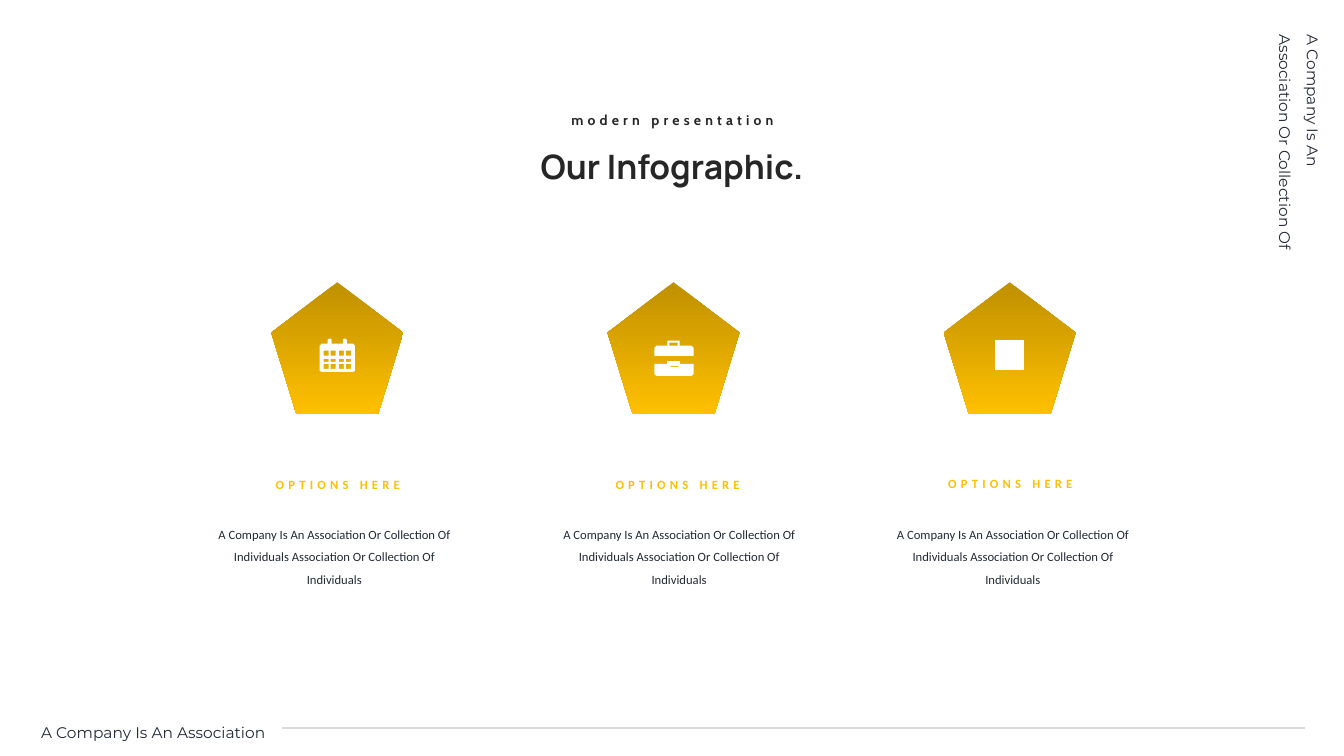
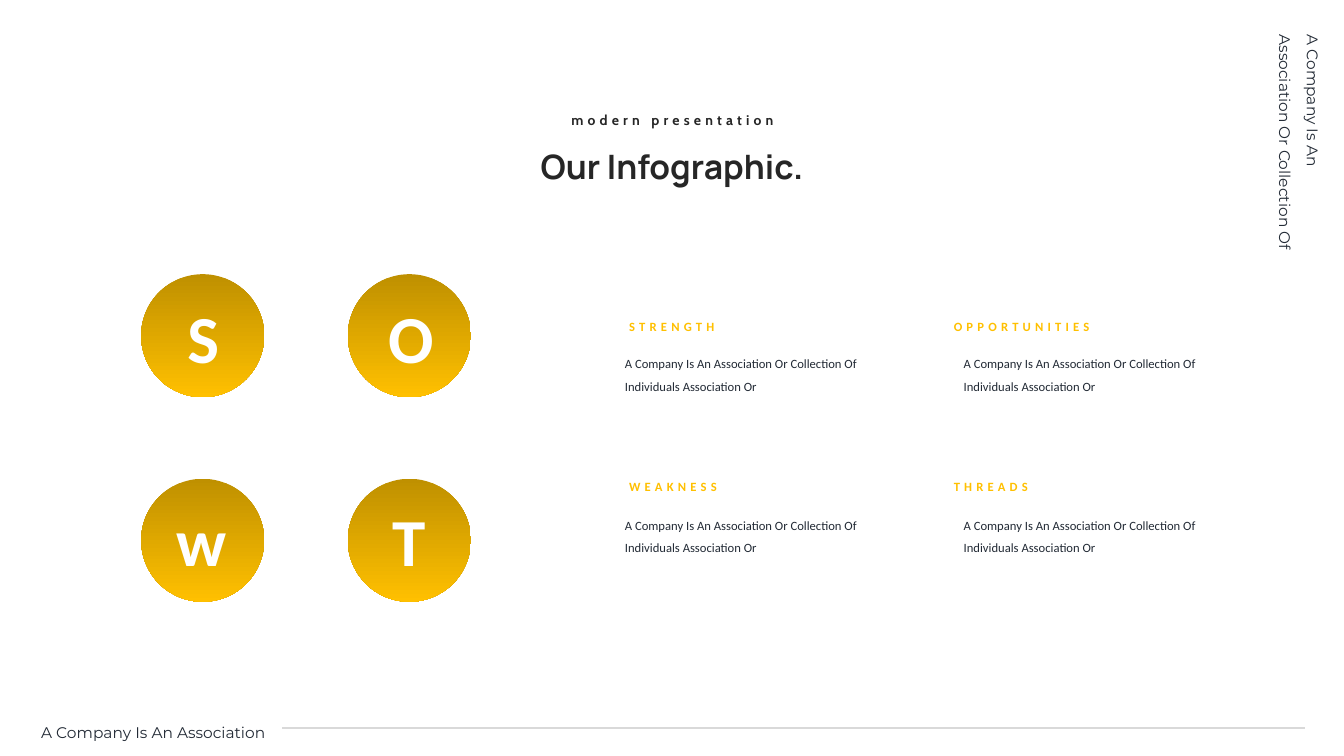
from lxml.etree import SubElement
from pptx import Presentation
from pptx.dml.color import RGBColor
from pptx.enum.shapes import MSO_CONNECTOR as Connector, MSO_SHAPE as Shape
from pptx.enum.text import MSO_ANCHOR as Anchor, MSO_AUTO_SIZE as AutoSize, PP_ALIGN as Align
from pptx.oxml.ns import qn
from pptx.util import Inches, Pt

COLORS = {"dark_gold": "BF9000", "gold": "FFC000", "white": "FFFFFF",
          "ink": "222A35", "title": "262626", "rule": "D9D9D9"}

STYLES = {
    "body": {"font": {"name": "Calibri", "size": Pt(9)}, "color": "ink",
             "paragraph": {"line_spacing": 1.5}},
    "heading": {"font": {"name": "Calibri", "size": Pt(9), "bold": True}, "color": "gold",
                "paragraph": {"space_after": Pt(12)}, "tight": True, "spacing": 3},
    "letter": {"font": {"name": "Calibri", "size": Pt(48), "bold": True}, "color": "white",
               "paragraph": {"space_after": Pt(12)}, "tight": True},
    "margin": {"font": {"name": "Montserrat", "size": Pt(11)}, "color": "ink",
               "paragraph": {"line_spacing": 1.5}},
    "title": {"font": {"name": "Manrope", "size": Pt(24), "bold": True}, "color": "title"},
    "kicker": {"font": {"name": "Cabin", "size": Pt(10), "bold": True}, "color": "title",
               "spacing": 3},
}
TIGHT = {"margin_left": 0, "margin_top": 0, "margin_right": 0, "margin_bottom": 0,
         "vertical_anchor": Anchor.MIDDLE}

FRAME = [
    ("A Company Is An Association", (0.31, 7.03, 4.36, 0.35), "margin", Align.LEFT, 0),
    ("A Company Is An Association Or Collection Of", (11.74, 1.14, 2.41, 0.62),
     "margin", Align.LEFT, 90),
    ("Our Infographic.", (3.93, 1.4, 5.47, 0.5), "title", Align.CENTER, 0),
    ("modern presentation", (5.37, 1.06, 2.6, 0.27), "kicker", Align.CENTER, 0),
]
RULE = (12.94, 7.22, 2.8, 7.22)

OPTION_TEXT = ("A Company Is An Association Or Collection Of Individuals "
               "Association Or Collection Of Individuals")
OPTIONS = [
    {"title": "OPTIONS HERE", "title_at": (2.48, 4.73), "text_left": 2.02},
    {"title": "OPTIONS HERE", "title_at": (5.85, 4.73), "text_left": 5.44},
    {"title": "OPTIONS HERE", "title_at": (9.15, 4.72), "text_left": 8.75},
]
PENTAGON = {"left": 2.69, "top": 2.8, "size": 1.31, "pitch": 3.335}

SWOT_TEXT = "A Company Is An Association Or Collection Of Individuals Association Or"
SWOT = [
    ("S", (1.67, 2.93), "STRENGTH"),
    ("O", (3.73, 2.93), "OPPORTUNITIES"),
    ("w", (1.65, 4.95), "WEAKNESS"),
    ("T", (3.71, 4.95), "THREADS"),
]
CIRCLE = {"lefts": (1.4, 3.45), "tops": (2.72, 4.75), "size": 1.22}
SWOT_COLUMNS = [{"heading": 6.24, "text": 6.1}, {"heading": 9.46, "text": 9.46}]
SWOT_ROWS = [{"heading": 3.16, "text": 3.41}, {"heading": 4.75, "text": 5.01}]


def box(left, top, width, height):
    right, bottom = left + width, top + height
    return [(left, top), (right, top), (right, bottom), (left, bottom)]


CALENDAR_BODY = [
    (3.19, 3.41), (3.25, 3.41), (3.25, 3.37), (3.26, 3.36), (3.28, 3.36), (3.29, 3.37),
    (3.29, 3.41), (3.4, 3.41), (3.4, 3.37), (3.41, 3.36), (3.43, 3.36), (3.44, 3.37),
    (3.44, 3.41), (3.5, 3.41), (3.52, 3.43), (3.52, 3.68), (3.5, 3.69), (3.19, 3.69),
    (3.17, 3.68), (3.17, 3.43)]
CALENDAR_DAYS = [box(left, top, 0.05, height)
                 for top, height in ((3.48, 0.05), (3.56, 0.03), (3.61, 0.05))
                 for left in (3.21, 3.28, 3.36, 3.43)]
CASE_LID = [(6.51, 3.43), (6.62, 3.43), (6.62, 3.38), (6.74, 3.38), (6.74, 3.43),
            (6.86, 3.43), (6.88, 3.45), (6.88, 3.53), (6.49, 3.53), (6.49, 3.45)]
CASE_BASE = [(6.49, 3.61), (6.65, 3.61), (6.65, 3.64), (6.73, 3.64), (6.73, 3.61),
             (6.88, 3.61), (6.88, 3.71), (6.86, 3.73), (6.51, 3.73), (6.49, 3.71)]
ICONS = [
    [CALENDAR_BODY, *CALENDAR_DAYS],
    [CASE_LID, box(6.64, 3.4, 0.08, 0.03)],
    [CASE_BASE],
    [box(6.62, 3.58, 0.12, 0.05)],
    [box(9.87, 3.37, 0.29, 0.3)],
]


def inches(values):
    return [Inches(value) for value in values]


def rgb(name):
    return RGBColor.from_string(COLORS[name])


def apply(target, values):
    for name, value in values.items():
        setattr(target, name, value)


def add_text(slide, text, place, style_name, align=Align.LEFT, rotation=0):
    style = STYLES[style_name]
    holder = slide.shapes.add_textbox(*inches(place))
    holder.rotation = rotation
    frame = holder.text_frame
    apply(frame, {"word_wrap": True, "auto_size": AutoSize.SHAPE_TO_FIT_TEXT})
    if style.get("tight"):
        apply(frame, TIGHT)
    paragraph = frame.paragraphs[0]
    apply(paragraph, {"alignment": align, **style.get("paragraph", {})})
    run = paragraph.add_run()
    run.text = text
    apply(run.font, style["font"])
    run.font.color.rgb = rgb(style["color"])
    if "spacing" in style:
        run.font._element.set("spc", str(style["spacing"] * 100))


def add_badge(slide, kind, left, top, size):
    badge = slide.shapes.add_shape(kind, *inches((left, top, size, size)))
    badge.shadow.inherit = False
    badge.line.fill.background()
    badge.fill.gradient()
    badge.fill.gradient_angle = 270
    for stop, (position, color) in zip(badge.fill.gradient_stops,
                                       ((0, "dark_gold"), (1, "gold"))):
        stop.position = position
        stop.color.rgb = rgb(color)


def add_icon(slide, contours):
    first, *holes = [[inches(point) for point in contour] for contour in contours]
    builder = slide.shapes.build_freeform(*first[0])
    builder.add_line_segments(first[1:], close=True)
    for hole in holes:
        builder.move_to(*hole[0])
        builder.add_line_segments(hole[1:], close=True)
    icon = builder.convert_to_shape()
    icon.shadow.inherit = False
    icon.line.fill.background()
    icon.fill.solid()
    icon.fill.fore_color.rgb = rgb("white")


def add_frame(slide):
    for part in FRAME:
        add_text(slide, *part)
    rule = slide.shapes.add_connector(Connector.STRAIGHT, *inches(RULE))
    rule.line.color.rgb = rgb("rule")
    rule.line.width = Pt(1.5)
    SubElement(rule._element.spPr, qn("a:effectLst"))


def build_options(slide):
    for index, option in enumerate(OPTIONS):
        add_badge(slide, Shape.REGULAR_PENTAGON, PENTAGON["left"] + index * PENTAGON["pitch"],
                  PENTAGON["top"], PENTAGON["size"])
        add_text(slide, OPTION_TEXT, (option["text_left"], 5.1, 2.59, 0.78),
                 "body", Align.CENTER)
        add_text(slide, option["title"], (*option["title_at"], 1.74, 0.15),
                 "heading", Align.CENTER)
    for contours in ICONS:
        add_icon(slide, contours)


def build_swot(slide):
    for index, (letter, letter_at, heading) in enumerate(SWOT):
        row, column = divmod(index, 2)
        lefts, tops = SWOT_COLUMNS[column], SWOT_ROWS[row]
        add_badge(slide, Shape.OVAL, CIRCLE["lefts"][column], CIRCLE["tops"][row],
                  CIRCLE["size"])
        add_text(slide, letter, (*letter_at, 0.69, 0.81), "letter", Align.CENTER)
        add_text(slide, heading, (lefts["heading"], tops["heading"], 1.74, 0.15), "heading")
        add_text(slide, SWOT_TEXT, (lefts["text"], tops["text"], 2.73, 0.56), "body")


def main():
    deck = Presentation()
    apply(deck, {"slide_width": Inches(13.33), "slide_height": Inches(7.5)})
    for build in (build_options, build_swot):
        slide = deck.slides.add_slide(deck.slide_layouts[6])
        build(slide)
        add_frame(slide)
    deck.save("out.pptx")


if __name__ == "__main__":
    main()
